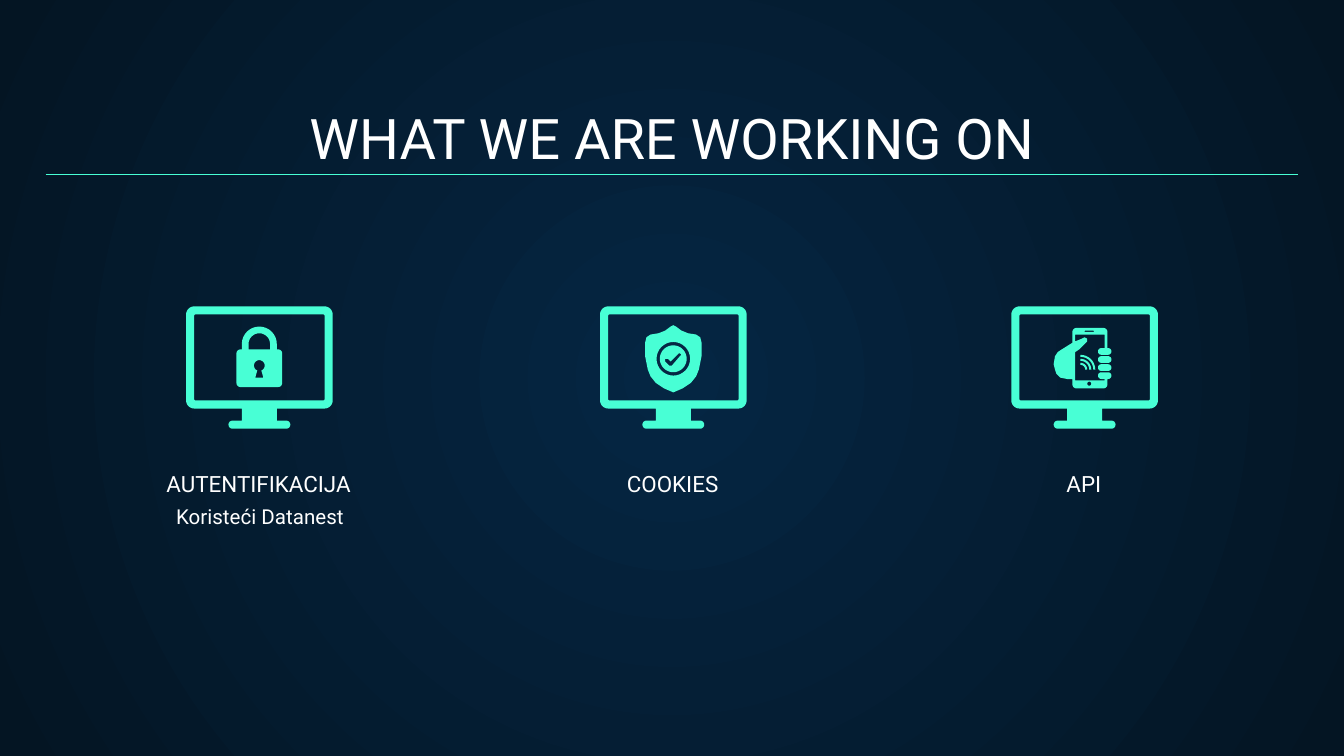
from dataclasses import dataclass
from math import cos, pi, sin

from pptx import Presentation
from pptx.dml.color import RGBColor
from pptx.enum.shapes import MSO_CONNECTOR
from pptx.enum.text import MSO_ANCHOR, MSO_AUTO_SIZE, PP_ALIGN
from pptx.oxml import parse_xml
from pptx.oxml.ns import nsdecls, qn
from pptx.oxml.xmlchemy import OxmlElement
from pptx.util import Inches, Pt


@dataclass
class Theme:
    font = "Roboto"
    text = RGBColor.from_string("FFFFFF")
    accent = RGBColor.from_string("48FFD5")
    centre = RGBColor.from_string("052643")
    edge = RGBColor.from_string("041523")
    title_size = Pt(30)
    label_size = Pt(12)
    note_size = Pt(11)
    line_width = Pt(0.75)


theme = Theme()
CORNER = 9  # points along each rounded corner


def rounded(left, top, width, height, radius):
    """Points of a rounded box: bottom right, bottom left, top left, top right."""
    right, bottom = left + width - radius, top + height - radius
    left, top = left + radius, top + radius
    corners = [(right, bottom), (left, bottom), (left, top), (right, top)]
    return [
        (x + radius * cos(angle), y + radius * sin(angle))
        for quarter, (x, y) in enumerate(corners)
        for angle in [(quarter + step / (CORNER - 1)) * pi / 2 for step in range(CORNER)]
    ]


def add_outline(contours):
    """Draw closed contours as one filled shape; inner contours are holes."""
    contours = [[(Inches(x), Inches(y)) for x, y in contour] for contour in contours]
    builder = slide.shapes.build_freeform(*contours[0][0])
    builder.add_line_segments(contours[0][1:])
    for contour in contours[1:]:
        builder.move_to(*contour[0])
        builder.add_line_segments(contour[1:])
    shape = builder.convert_to_shape()
    shape.shadow.inherit = False
    shape.fill.solid()
    shape.fill.fore_color.rgb = theme.accent
    shape.line.fill.background()


# Widescreen slide, 16 to 9
presentation = Presentation()
presentation.slide_width = Inches(10)
presentation.slide_height = Inches(10 * 9 / 16)
slide = presentation.slides.add_slide(presentation.slide_layouts[5])

# Background: gradient from the centre outwards
background = slide.background.fill
background.gradient()
for stop, color in zip(background.gradient_stops, (theme.centre, theme.edge)):
    stop.color.rgb = color
gradient = slide.element.find(".//" + qn("a:gradFill"))
gradient.replace(
    gradient.find(qn("a:lin")),
    parse_xml(
        f'<a:path {nsdecls("a")} path="circle">'
        '<a:fillToRect l="50000" t="50000" r="50000" b="50000"/></a:path>'
    ),
)

# Title, labels and note
title = slide.shapes.title
title.left, title.top, title.width, title.height = map(Inches, (0.34, 0.71, 9.32, 0.66))
text_boxes = [(title, "WHAT WE ARE WORKING ON", theme.title_size, MSO_ANCHOR.BOTTOM)]

centres = (1.93, 5.01, 8.07)
for centre, label in zip(centres, ("AUTENTIFIKACIJA", "COOKIES", "API")):
    box = slide.shapes.add_textbox(Inches(centre - 1.14), Inches(3.59), Inches(2.27), Inches(0.21))
    text_boxes.append((box, label, theme.label_size, MSO_ANCHOR.BOTTOM))
note = slide.shapes.add_textbox(Inches(0.9), Inches(3.65), Inches(2.07), Inches(0.55))
text_boxes.append((note, "Koristeći Datanest", theme.note_size, MSO_ANCHOR.TOP))

for box, text, size, anchor in text_boxes:
    frame = box.text_frame
    frame.word_wrap = True
    frame.auto_size = MSO_AUTO_SIZE.NONE
    frame.vertical_anchor = anchor
    frame.margin_left = frame.margin_right = Inches(0.1)
    frame.margin_top = frame.margin_bottom = Inches(0.1)
    paragraph = frame.paragraphs[0]
    paragraph.alignment = PP_ALIGN.CENTER
    run = paragraph.add_run()
    run.text = text
    run.font.name = theme.font
    run.font.size = size
    run.font.color.rgb = theme.text

# Monitors
for centre in centres:
    case = rounded(centre - 0.545, 2.28, 1.09, 0.76, 0.06)
    base = rounded(centre - 0.23, 3.13, 0.46, 0.06, 0.03)
    neck_left, neck_right = centre - 0.13, centre + 0.13
    silhouette = (
        case[:CORNER]
        + [(neck_right, 3.04), (neck_right, 3.13)]
        + base[-CORNER:] + base[:-CORNER]
        + [(neck_left, 3.13), (neck_left, 3.04)]
        + case[CORNER:]
    )
    add_outline([silhouette, rounded(centre - 0.485, 2.34, 0.97, 0.64, 0.01)])

# Padlock
body = rounded(1.76, 2.6, 0.34, 0.28, 0.03)
shackle = rounded(1.8, 2.43, 0.26, 0.26, 0.13)[2 * CORNER:]
opening = rounded(1.85, 2.48, 0.16, 0.16, 0.08)[2 * CORNER:]
keyhole = rounded(1.89, 2.68, 0.08, 0.08, 0.04)
add_outline([
    body[:3 * CORNER] + [(1.8, 2.6)] + shackle + [(2.06, 2.6)] + body[3 * CORNER:],
    opening + [(2.01, 2.6), (1.85, 2.6)],
    keyhole[:7] + [(1.96, 2.81), (1.9, 2.81)] + keyhole[CORNER + 2:],
])

# Shield with a check mark
shield_half = [
    (0, 2.42), (0.02, 2.43), (0.06, 2.46), (0.11, 2.48), (0.17, 2.49), (0.2, 2.51),
    (0.21, 2.55), (0.21, 2.65), (0.19, 2.75), (0.17, 2.8), (0.13, 2.85), (0.07, 2.89), (0, 2.92),
]
shield_centre = centres[1]
shield = [(shield_centre + x, y) for x, y in shield_half]
shield += [(shield_centre - x, y) for x, y in shield_half[-2:0:-1]]
check = [
    (5.05, 2.63), (5.06, 2.63), (5.07, 2.64), (5.06, 2.65), (5, 2.72), (4.98, 2.72),
    (4.95, 2.69), (4.95, 2.67), (4.97, 2.67), (4.99, 2.69),
]
add_outline([rounded(shield_centre - 0.1, 2.57, 0.2, 0.2, 0.1), check])
add_outline([shield, rounded(shield_centre - 0.125, 2.545, 0.25, 0.25, 0.125)])

# Phone held in a hand
phone = rounded(7.98, 2.44, 0.26, 0.45, 0.03)
fingers = [rounded(8.17, 2.59 + 0.06 * row, 0.1, 0.05, 0.025) for row in range(4)]
palm = [
    (7.98, 2.82), (7.94, 2.82), (7.89, 2.81), (7.86, 2.78), (7.85, 2.75),
    (7.84, 2.71), (7.85, 2.65), (7.87, 2.62), (7.9, 2.6), (7.98, 2.55),
]
screen_and_thumb = [
    (8.22, 2.59), (8.22, 2.49), (8, 2.49), (8, 2.54), (8.05, 2.52), (8.07, 2.51),
    (8.09, 2.52), (8.09, 2.54), (8.06, 2.57), (8.03, 2.6), (8, 2.62), (8, 2.83),
    (8.22, 2.83), (8.22, 2.82),
]
hand_and_phone = (
    phone[:2 * CORNER] + palm + phone[2 * CORNER:] + [(8.24, 2.59)]
    + fingers[0][-CORNER:] + fingers[0][:-CORNER]
    + screen_and_thumb
    + fingers[3][CORNER:] + fingers[3][:CORNER] + [(8.24, 2.82)]
)
signal = []
for radius in (0.05, 0.08, 0.11):
    outer, inner = [
        rounded(8.04 - r, 2.75 - r, 2 * r, 2 * r, r)[3 * CORNER:] for r in (radius, radius - 0.015)
    ]
    signal.append(outer + inner[::-1])
speaker = rounded(8.07, 2.46, 0.07, 0.01, 0.005)
button = rounded(8.09, 2.84, 0.03, 0.03, 0.015)
add_outline([hand_and_phone, *fingers[1:3], *signal, speaker, button])

# Line under the title
rule = slide.shapes.add_connector(
    MSO_CONNECTOR.STRAIGHT, Inches(0.34), Inches(1.3), Inches(9.66), Inches(1.3)
)
rule.line.color.rgb = theme.accent
rule.line.width = theme.line_width
rule.element.spPr.append(OxmlElement("a:effectLst"))

presentation.save("out.pptx")
